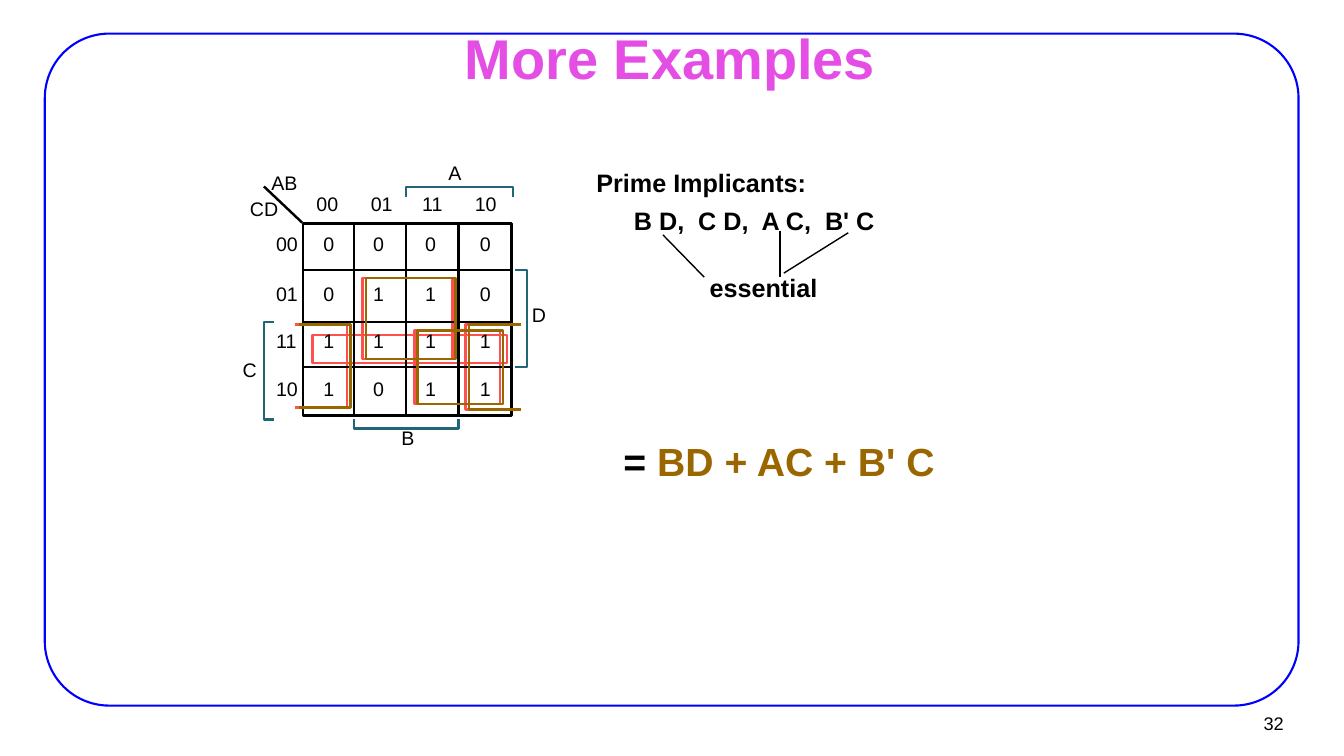
from dataclasses import dataclass
from typing import NamedTuple

from lxml import etree
from pptx import Presentation
from pptx import util as u
from pptx.dml.color import RGBColor
from pptx.enum import shapes, text
from pptx.oxml.ns import qn


@dataclass(frozen=True)
class Theme:
    font: str = "Arial"
    ink: str = "000000"
    heading: str = "E44EE4"
    frame: str = "0000FF"
    prime: str = "FF5050"
    essential: str = "996600"
    bracket: str = "226577"
    title_size: float = 40
    result_size: float = 28
    body_size: float = 18
    label_size: float = 14
    number_size: float = 13
    thin: float = 1
    frame_line: float = 1.5
    map_line: float = 1.75


class Point(NamedTuple):
    x: float
    y: float


class Box(NamedTuple):
    left: float
    top: float
    width: float
    height: float


class Run(NamedTuple):
    words: str
    color: str


class Label(NamedTuple):
    words: str
    left: float
    top: float


class Statement(NamedTuple):
    runs: list[Run]
    box: Box
    size: float


THEME = Theme()
INSETS = (5, 2)
SHIFT = 2.4  # essential loops sit just right of the prime loops


def emu(lengths) -> list[int]:
    return [u.Pt(length) for length in lengths]


# Drawing functions
def write(holder, runs: list[Run], *, size: float, bold: bool = False,
          align=text.PP_ALIGN.LEFT, anchor=text.MSO_ANCHOR.TOP, spacing: float = 1.0,
          insets=(0, 0), wrap: bool = True, fit=text.MSO_AUTO_SIZE.NONE) -> None:
    frame = holder.text_frame
    frame.margin_left = frame.margin_right = u.Pt(insets[0])
    frame.margin_top = frame.margin_bottom = u.Pt(insets[1])
    frame.word_wrap, frame.auto_size, frame.vertical_anchor = wrap, fit, anchor
    paragraph = frame.paragraphs[0]
    paragraph.alignment, paragraph.line_spacing = align, spacing
    for words, color in runs:
        run = paragraph.add_run()
        run.text = words
        run.font.name, run.font.size, run.font.bold = THEME.font, u.Pt(size), bold
        run.font.color.rgb = RGBColor.from_string(color)


def draw_label(slide, label: Label) -> None:
    box = Box(label.left, label.top, 2 + 12 * len(label.words), 16.6)
    write(slide.shapes.add_textbox(*emu(box)), [Run(label.words, THEME.ink)],
          size=THEME.label_size)


def outline(shape, color: str, weight: float) -> None:
    shape.shadow.inherit = False
    shape.fill.background()
    shape.line.color.rgb = RGBColor.from_string(color)
    shape.line.width = u.Pt(weight)


def draw_box(slide, box: Box, color: str, weight: float = THEME.map_line,
             kind=shapes.MSO_SHAPE.RECTANGLE):
    shape = slide.shapes.add_shape(kind, *emu(box))
    outline(shape, color, weight)
    return shape


def draw_path(slide, points: list[Point], color: str) -> None:
    start, *others = [tuple(emu(point)) for point in points]
    builder = slide.shapes.build_freeform(*start, scale=1.0)
    builder.add_line_segments(others, close=False)
    outline(builder.convert_to_shape(), color, THEME.map_line)


def draw_line(slide, start: Point, end: Point, weight: float) -> None:
    line = slide.shapes.add_connector(
        shapes.MSO_CONNECTOR.STRAIGHT, *emu(start), *emu(end))
    line.line.color.rgb = RGBColor.from_string(THEME.ink)
    line.line.width = u.Pt(weight)
    etree.SubElement(line._element.spPr, qn("a:effectLst"))


def draw_loops(slide, color: str, shift: float) -> None:
    for path in WRAPPED_LOOPS:
        draw_path(slide, [Point(x + shift, y) for x, y in path], color)
    for loop in CLOSED_LOOPS:
        draw_box(slide, loop._replace(left=loop.left + shift), color)


# Karnaugh map content
GRID = Box(216.5, 159.8, 149, 137)
COLUMN_LINES = (253, 290.2, 327.6)
ROW_LINES = (193, 230, 262.1)
CODES = ("00", "01", "11", "10")
ROWS = ("0000", "0110", "1111", "1011")
DIGIT_LEFTS = (231.1, 266.6, 303.8, 342.9)
HEADER_LEFTS = (226.1, 265, 301.7, 339.3)
ROW_TOPS = (165.6, 201.6, 235.1, 269.3)

WRAPPED_LOOPS = [
    [Point(370.1, 231.8), Point(332.6, 231.8), Point(332.6, 292.5), Point(370.1, 292.5)],
    [Point(211, 231.8), Point(248, 231.8), Point(248, 291.1), Point(211, 291.1)],
]
CLOSED_LOOPS = [Box(259.2, 198.7, 64.1, 57.6), Box(296.1, 236.2, 61.2, 52.4)]
CD_LOOP = Box(223.4, 239.2, 139, 20.2)

BRACKETS = [
    [Point(290.2, 140.4), Point(290.2, 133.4), Point(366.5, 133.4), Point(366.5, 140.4)],
    [Point(195.8, 299.6), Point(188.8, 299.6), Point(188.8, 229.9), Point(195.8, 229.9)],
    [Point(327.6, 299.5), Point(327.6, 306), Point(253, 306), Point(253, 299.5)],
    [Point(367.9, 193), Point(376.6, 193), Point(376.6, 262.1), Point(367.9, 262.1)],
]
VARIABLES = [
    Label("AB", 193.9, 122), Label("CD", 178.6, 140.4), Label("A", 320.4, 115.2),
    Label("B", 286.8, 304.3), Label("C", 173.5, 255.6), Label("D", 380.2, 216.7),
]

# Prime implicants content
STATEMENTS = [
    Statement([Run("Prime Implicants:", THEME.ink)],
              Box(421.2, 120.7, 180, 22.3), THEME.body_size),
    Statement([Run("B D,  C D,  A C,  B' C", THEME.ink)],
              Box(448.1, 148, 200, 22.3), THEME.body_size),
    Statement([Run("essential", THEME.ink)],
              Box(502.1, 195.8, 100, 22.3), THEME.body_size),
    Statement([Run("= ", THEME.ink), Run("BD + AC + B' C", THEME.essential)],
              Box(440.6, 315.4, 250, 32.4), THEME.result_size),
]
POINTERS = [
    (Point(503.3, 198), Point(473.8, 167.8)),
    (Point(557.3, 198), Point(557.3, 164.9)),
    (Point(560.2, 195.1), Point(606.2, 166.3)),
]


def draw_map(slide) -> None:
    right, bottom = GRID.left + GRID.width, GRID.top + GRID.height
    draw_box(slide, GRID, THEME.ink)
    for y in ROW_LINES:
        draw_line(slide, Point(GRID.left, y), Point(right, y), THEME.map_line)
    for x in COLUMN_LINES:
        draw_line(slide, Point(x, GRID.top), Point(x, bottom), THEME.map_line)
    draw_line(slide, Point(216, 159.1), Point(188.6, 133.2), THEME.map_line)

    for code, left in zip(CODES, HEADER_LEFTS):
        draw_label(slide, Label(code, left, 136.8))
    for code, digits, top in zip(CODES, ROWS, ROW_TOPS):
        draw_label(slide, Label(code, 197.3, top))
        for digit, left in zip(digits, DIGIT_LEFTS):
            draw_label(slide, Label(digit, left, top))
    for bracket in BRACKETS:
        draw_path(slide, bracket, THEME.bracket)
    for variable in VARIABLES:
        draw_label(slide, variable)


def main() -> None:
    deck = Presentation()
    deck.slide_width, deck.slide_height = emu((960.5, 540))
    slide = deck.slides.add_slide(deck.slide_layouts[5])

    # Frame, title and slide number
    border = draw_box(slide, Box(32, 24, 896, 480), THEME.frame,
                      THEME.frame_line, shapes.MSO_SHAPE.ROUNDED_RECTANGLE)
    border.adjustments[0] = 0.096
    heading = slide.shapes.title
    heading.left, heading.top, heading.width, heading.height = emu((326.9, 14.8, 303.8, 51.8))
    write(heading, [Run("More Examples", THEME.heading)], size=THEME.title_size, bold=True,
          align=text.PP_ALIGN.CENTER, insets=INSETS)
    write(slide.shapes.add_textbox(*emu((865.4, 503, 58.3, 26.6))), [Run("32", THEME.ink)],
          size=THEME.number_size, align=text.PP_ALIGN.RIGHT, anchor=text.MSO_ANCHOR.MIDDLE,
          insets=(6.3, 3), wrap=False)

    # Prime implicants and result
    for runs, box, size in STATEMENTS:
        write(slide.shapes.add_textbox(*emu(box)), runs, size=size, bold=True,
              spacing=0.85, insets=INSETS)
    for start, end in POINTERS:
        draw_line(slide, start, end, THEME.thin)

    # Map between the prime loops and the essential loops
    draw_loops(slide, THEME.prime, 0)
    draw_box(slide, CD_LOOP, THEME.prime)
    draw_map(slide)
    draw_loops(slide, THEME.essential, SHIFT)

    deck.save("out.pptx")


if __name__ == "__main__":
    main()
